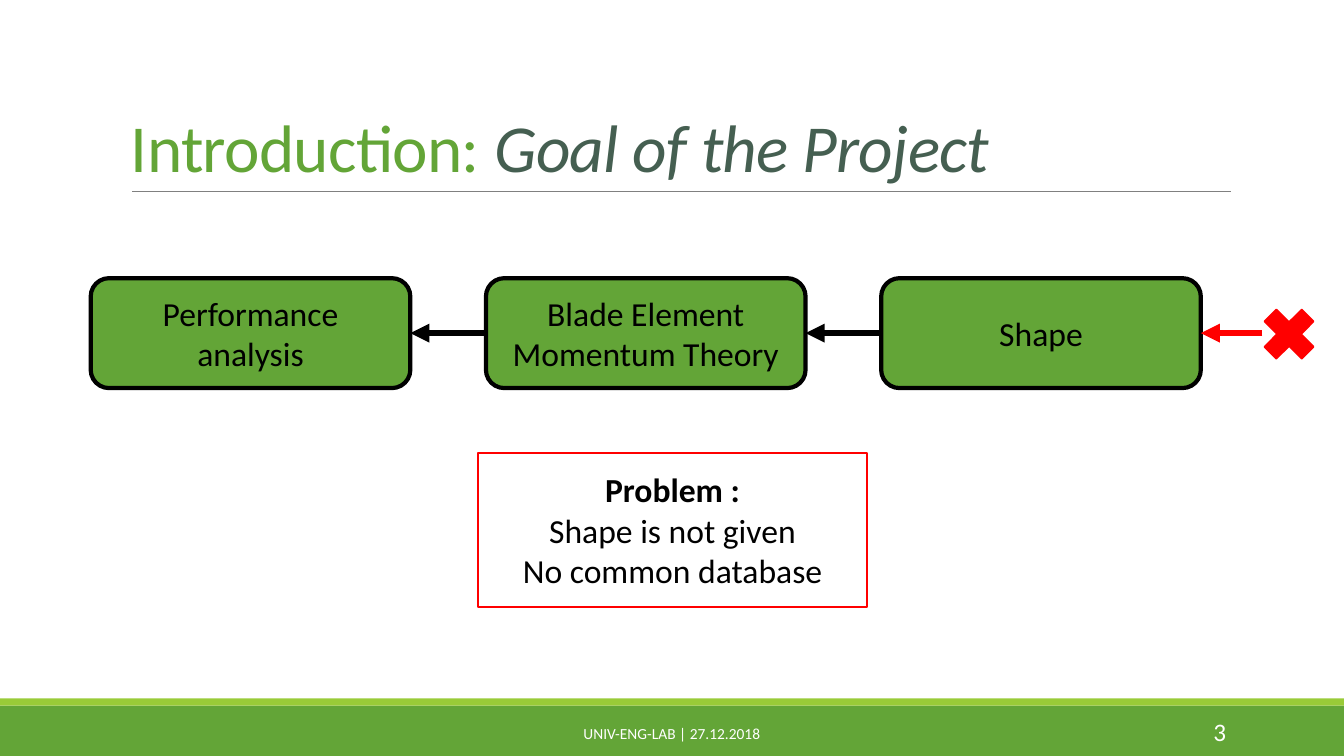
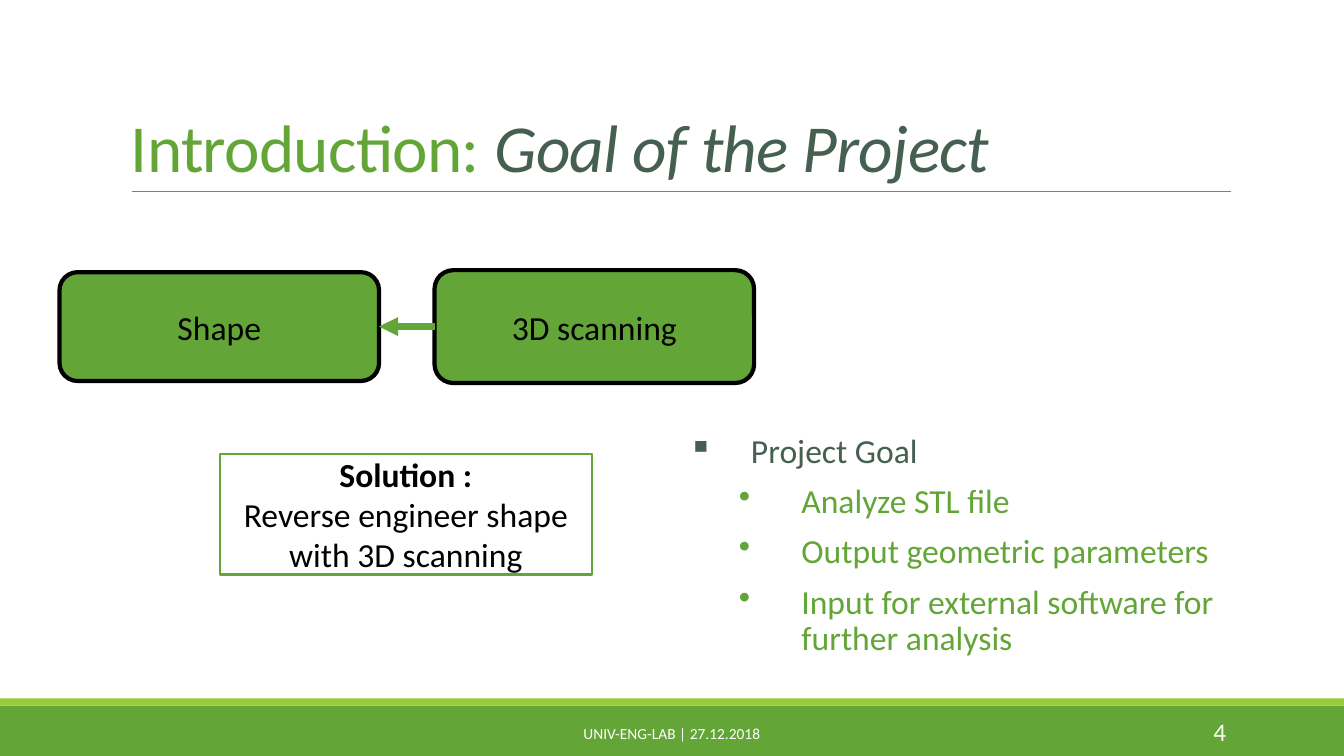
from dataclasses import dataclass

from lxml import etree
from pptx import Presentation
from pptx import util as u
from pptx.dml.color import RGBColor
from pptx.enum import shapes, text
from pptx.oxml.ns import qn

Align = text.PP_ALIGN
Anchor = text.MSO_ANCHOR
Preset = shapes.MSO_SHAPE


@dataclass(frozen=True)
class Theme:
    font: str = "Calibri"
    green: str = "63A537"
    lime: str = "99CB38"
    slate: str = "455F51"
    gray: str = "808080"
    black: str = "000000"
    white: str = "FFFFFF"
    red: str = "FF0000"
    title_size: float = 48
    body_size: float = 24
    number_size: float = 18
    footer_size: float = 11
    box_line: float = 3
    arrow_line: float = 4.5
    note_line: float = 1.5
    rule_line: float = 0.5


THEME = Theme()


@dataclass(frozen=True)
class Area:
    left: float
    top: float
    width: float
    height: float

    def lengths(self) -> tuple:
        return tuple(u.Inches(v) for v in (self.left, self.top, self.width, self.height))


@dataclass(frozen=True)
class Span:
    text: str
    color: str = THEME.black
    size: float = THEME.body_size
    bold: bool = False
    italic: bool = False


@dataclass(frozen=True)
class Step:
    """One box of a flow, with one string per paragraph."""
    area: Area
    lines: tuple[str, ...]


@dataclass(frozen=True)
class Bullet:
    text: str
    level: int
    mark: str
    color: str
    indent: float


SLIDE_WIDTH, SLIDE_HEIGHT = 13.33, 7.5
BASE_BAND = Area(0, 7, SLIDE_WIDTH, 0.5)
ACCENT_BAND = Area(0, 6.93, SLIDE_WIDTH, 0.07)
TITLE_AREA = Area(1.2, 0.31, 11, 1.59)
FOOTER_AREA = Area(4.03, 7.08, 5.27, 0.4)
NUMBER_AREA = Area(10.83, 7.06, 1.43, 0.4)
RULE_LEFT, RULE_RIGHT, RULE_TOP = 1.31, 12.21, 1.9
TITLE = (
    Span("Introduction: ", THEME.green, THEME.title_size),
    Span("Goal of the Project", THEME.slate, THEME.title_size, italic=True),
)
FOOTER = "UNIV-ENG-LAB | 27.12.2018"

BOX_WIDTH, BOX_HEIGHT = 3.17, 1.09
FLOW_LEFT, FLOW_TOP, FLOW_PITCH = 0.9, 2.76, 3.92
ANALYSIS_FLOW = tuple(
    Step(Area(FLOW_LEFT + index * FLOW_PITCH, FLOW_TOP, BOX_WIDTH, BOX_HEIGHT), lines)
    for index, lines in enumerate((
        ("Performance", "analysis"),
        ("Blade Element Momentum Theory",),
        ("Shape",),
    ))
)
SCAN_FLOW = (
    Step(Area(0.59, 2.7, BOX_WIDTH, 1.08), ("Shape",)),
    Step(Area(4.31, 2.68, BOX_WIDTH, 1.12), ("3D scanning",)),
)
BULLET_HANG = 0.62
GOALS = (
    Bullet("Project Goal", 0, "▪", THEME.slate, 0.62),
    *(Bullet(goal, 1, "•", THEME.green, 1.12) for goal in (
        "Analyze STL file",
        "Output geometric parameters",
        "Input for external software for further analysis",
    )),
)


def rgb(color: str) -> RGBColor:
    return RGBColor.from_string(color)


def add_span(para, span: Span):
    run = para.add_run()
    run.text = span.text
    font = run.font
    font.name, font.size = THEME.font, u.Pt(span.size)
    font.bold, font.italic = span.bold, span.italic
    font.color.rgb = rgb(span.color)
    return run


def next_para(frame, index: int):
    return frame.paragraphs[0] if index == 0 else frame.add_paragraph()


def write(shape, spans: tuple[Span, ...], align=Align.CENTER) -> None:
    """Put each span in a paragraph of its own, centred vertically."""
    frame = shape.text_frame
    frame.word_wrap = True
    frame.vertical_anchor = Anchor.MIDDLE
    for index, span in enumerate(spans):
        para = next_para(frame, index)
        para.alignment = align
        add_span(para, span)


def add_text(page, area: Area, span: Span, align=Align.CENTER) -> None:
    write(page.shapes.add_textbox(*area.lengths()), (span,), align)


def add_box(page, preset, area: Area, fill: str, line: str | None = None,
            width: float = 0):
    box = page.shapes.add_shape(preset, *area.lengths())
    box.shadow.inherit = False
    box.fill.solid()
    box.fill.fore_color.rgb = rgb(fill)
    if line is None:
        box.line.fill.background()
    else:
        box.line.color.rgb = rgb(line)
        box.line.width = u.Pt(width)
    return box


def add_line(page, start: tuple, end: tuple, color: str, width: float,
             arrow: bool = False):
    line = page.shapes.add_connector(shapes.MSO_CONNECTOR.STRAIGHT, *start, *end)
    line.line.color.rgb = rgb(color)
    line.line.width = u.Pt(width)
    properties = line.element.spPr
    if arrow:
        etree.SubElement(properties.find(qn("a:ln")), qn("a:tailEnd"), type="triangle")
    etree.SubElement(properties, qn("a:effectLst"))
    return line


def side_middle(box, right: bool) -> tuple:
    return box.left + (box.width if right else 0), box.top + box.height // 2


def add_flow(page, steps: tuple[Step, ...], arrow_color: str) -> list:
    """Draw the steps and an arrow from each one to its left neighbour."""
    boxes = []
    for step in steps:
        box = add_box(page, Preset.ROUNDED_RECTANGLE, step.area, THEME.green,
                      THEME.black, THEME.box_line)
        write(box, tuple(Span(line) for line in step.lines))
        boxes.append(box)
    for target, source in zip(boxes, boxes[1:]):
        arrow = add_line(page, side_middle(source, False), side_middle(target, True),
                         arrow_color, THEME.arrow_line, arrow=True)
        arrow.begin_connect(source, 1)
        arrow.end_connect(target, 3)
    return boxes


def add_note(page, area: Area, color: str, heading: str, *lines: str) -> None:
    note = add_box(page, Preset.RECTANGLE, area, THEME.white, color, THEME.note_line)
    write(note, (Span(heading, bold=True), *(Span(line) for line in lines)))


def add_bullets(page, area: Area, bullets: tuple[Bullet, ...]) -> None:
    frame = page.shapes.add_textbox(*area.lengths()).text_frame
    frame.word_wrap = True
    frame.auto_size = text.MSO_AUTO_SIZE.SHAPE_TO_FIT_TEXT
    for index, bullet in enumerate(bullets):
        para = next_para(frame, index)
        para.level = bullet.level
        para.line_spacing = 0.9
        para.space_before = u.Pt(10)
        properties = para._p.get_or_add_pPr()
        properties.set("marL", str(u.Inches(bullet.indent)))
        properties.set("indent", str(-u.Inches(BULLET_HANG)))
        etree.SubElement(properties, qn("a:buChar"), char=bullet.mark)
        add_span(para, Span(bullet.text, bullet.color))


def add_title(page) -> None:
    frame = page.shapes.add_textbox(*TITLE_AREA.lengths()).text_frame
    frame.word_wrap = True
    frame.vertical_anchor = Anchor.BOTTOM
    para = frame.paragraphs[0]
    para.line_spacing = 0.85
    for span in TITLE:
        run = add_span(para, span)
        run.font._element.set("spc", "-50")


def add_page(deck, number: int):
    """Add a slide with the bands, title, rule, footer and slide number."""
    page = deck.slides.add_slide(deck.slide_layouts[6])
    add_box(page, Preset.RECTANGLE, BASE_BAND, THEME.green)
    add_box(page, Preset.RECTANGLE, ACCENT_BAND, THEME.lime)
    rule_top = u.Inches(RULE_TOP)
    add_line(page, (u.Inches(RULE_LEFT), rule_top), (u.Inches(RULE_RIGHT), rule_top),
             THEME.gray, THEME.rule_line)
    add_title(page)
    add_text(page, FOOTER_AREA, Span(FOOTER, THEME.white, THEME.footer_size))
    add_text(page, NUMBER_AREA, Span(str(number), THEME.white, THEME.number_size),
             Align.RIGHT)
    return page


def add_problem_page(deck) -> None:
    page = add_page(deck, 3)
    shape_box = add_flow(page, ANALYSIS_FLOW, THEME.black)[-1]
    add_note(page, Area(4.74, 4.49, 3.86, 1.53), THEME.red,
             "Problem :", "Shape is not given", "No common database")
    add_box(page, Preset.MATH_MULTIPLY, Area(12.43, 2.96, 0.71, 0.71),
            THEME.red, THEME.red, 1.25)
    target = side_middle(shape_box, True)
    missing_input = add_line(page, (u.Inches(12.52), target[1]), target, THEME.red,
                             THEME.arrow_line, arrow=True)
    missing_input.end_connect(shape_box, 3)


def add_solution_page(deck) -> None:
    page = add_page(deck, 4)
    add_flow(page, SCAN_FLOW, THEME.green)
    add_note(page, Area(2.18, 4.5, 3.69, 1.2), THEME.green,
             "Solution :", "Reverse engineer shape with 3D scanning")
    add_bullets(page, Area(6.73, 4.26, 5.61, 2.34), GOALS)


def main() -> None:
    deck = Presentation()
    deck.slide_width = u.Inches(SLIDE_WIDTH)
    deck.slide_height = u.Inches(SLIDE_HEIGHT)
    add_problem_page(deck)
    add_solution_page(deck)
    deck.save("out.pptx")


if __name__ == "__main__":
    main()
